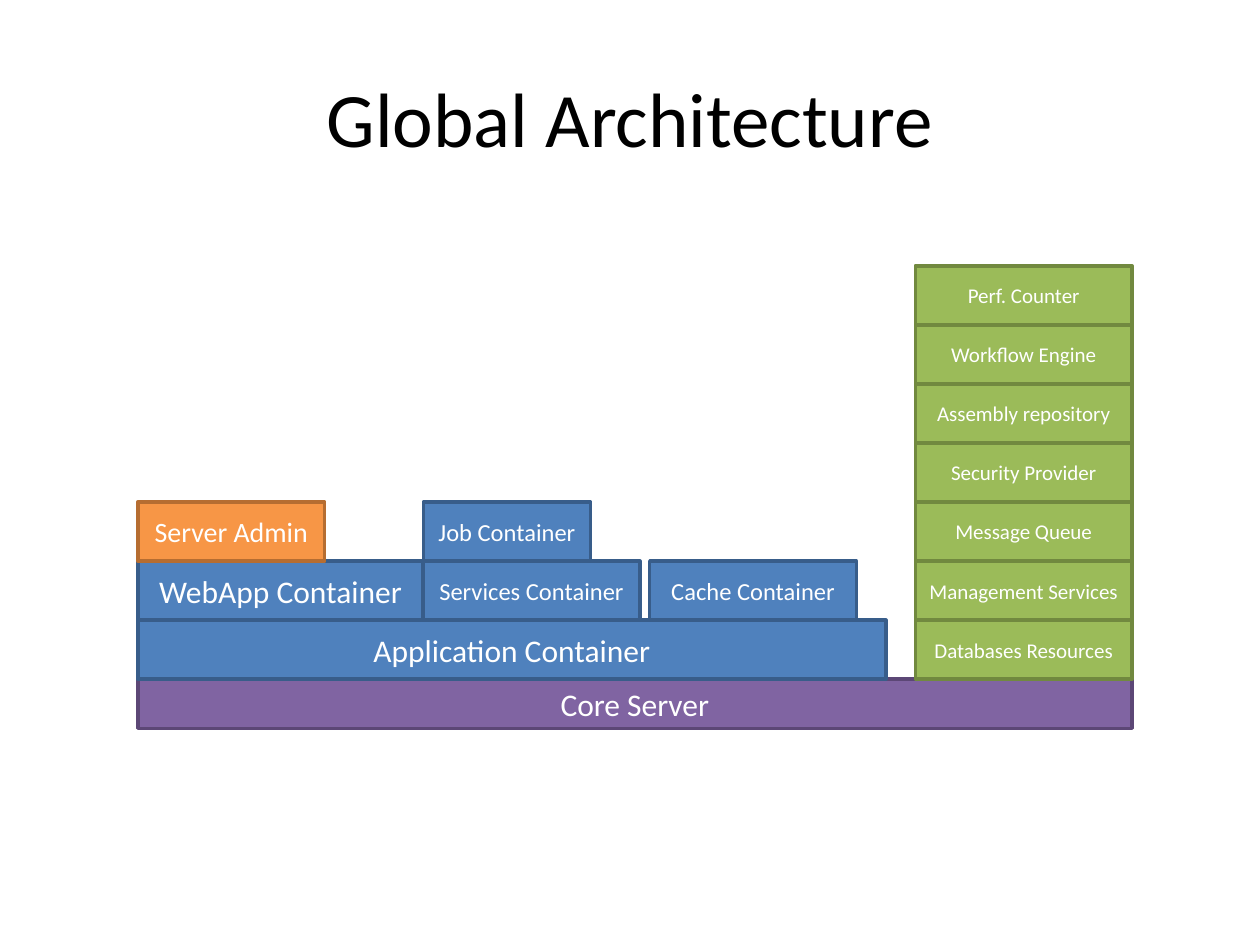
from pptx import Presentation
from pptx import util as u
from pptx.dml.color import RGBColor
from pptx.enum import shapes, text

BLACK = RGBColor(0x00, 0x00, 0x00)
WHITE = RGBColor(0xFF, 0xFF, 0xFF)
PURPLE = (RGBColor(0x80, 0x64, 0xA2), RGBColor(0x5C, 0x47, 0x76))
BLUE = (RGBColor(0x4F, 0x81, 0xBD), RGBColor(0x38, 0x5D, 0x8A))
GREEN = (RGBColor(0x9B, 0xBB, 0x59), RGBColor(0x71, 0x89, 0x3F))
ORANGE = (RGBColor(0xF7, 0x96, 0x46), RGBColor(0xB6, 0x6D, 0x31))

WIDTH, HEIGHT = u.Inches(10), u.Inches(7.5)
CELL = WIDTH // 128
ROW = 6
SERVICES = ["Databases Resources", "Management Services", "Message Queue",
            "Security Provider", "Assembly repository", "Workflow Engine",
            "Perf. Counter"]


def write_text(shape, content, size=18, color=WHITE, font="Calibri"):
    """Write one centred line of text in a shape."""
    frame = shape.text_frame
    frame.word_wrap = True
    frame.vertical_anchor = text.MSO_ANCHOR.MIDDLE
    paragraph = frame.paragraphs[0]
    paragraph.alignment = text.PP_ALIGN.CENTER
    run = paragraph.add_run()
    run.text = content
    run.font.size = u.Pt(size)
    run.font.name = font
    run.font.color.rgb = color


def add_block(slide, box, content, colors, size=18):
    """Draw one labelled block; the box is in grid cells."""
    shape = slide.shapes.add_shape(shapes.MSO_SHAPE.RECTANGLE,
                                   *(cells * CELL for cells in box))
    shape.shadow.inherit = False
    shape.fill.solid()
    shape.fill.fore_color.rgb, shape.line.color.rgb = colors
    shape.line.width = u.Pt(2)
    shape.text_frame.margin_left = shape.text_frame.margin_right = 0
    write_text(shape, content, size=size)


def add_title(slide, content):
    """Place and fill the title placeholder."""
    title = slide.shapes.title
    title.left, title.top = int(WIDTH * 0.05), int(HEIGHT * 0.04)
    title.width, title.height = int(WIDTH * 0.9), HEIGHT // 6
    write_text(title, content, size=44, color=BLACK)


def add_containers(slide, left, bottom, width):
    """Stack the container blocks upward from the bottom edge."""
    blocks = [
        (0, 1, width, "Application Container", BLUE, 18),
        (0, 2, 29, "WebApp Container", BLUE, 18),
        (29, 3, 17, "Job Container", BLUE, 14),
        (29, 2, 22, "Services Container", BLUE, 14),
        (52, 2, 21, "Cache Container", BLUE, 14),
        (0, 3, 19, "Server Admin", ORANGE, 16),
    ]
    for column, level, span, content, colors, size in blocks:
        box = (left + column, bottom - level * ROW, span, ROW)
        add_block(slide, box, content, colors, size=size)


def add_services(slide, left, bottom, width):
    """Stack the service blocks upward from the bottom edge."""
    for level, content in enumerate(SERVICES, start=1):
        box = (left, bottom - level * ROW, width, ROW)
        add_block(slide, box, content, GREEN, size=12)


def add_architecture(slide, left, base, width):
    """Draw the server base with both stacks standing on it."""
    service_width = 22
    add_block(slide, (left, base, width, 5), "Core Server", PURPLE)
    add_containers(slide, left, base, 76)
    add_services(slide, left + width - service_width, base, service_width)


def main():
    """Build and save the presentation."""
    presentation = Presentation()
    presentation.slide_width, presentation.slide_height = WIDTH, HEIGHT
    slide = presentation.slides.add_slide(presentation.slide_layouts[5])
    add_title(slide, "Global Architecture")
    add_architecture(slide, left=14, base=69, width=101)
    presentation.save("out.pptx")


main()
